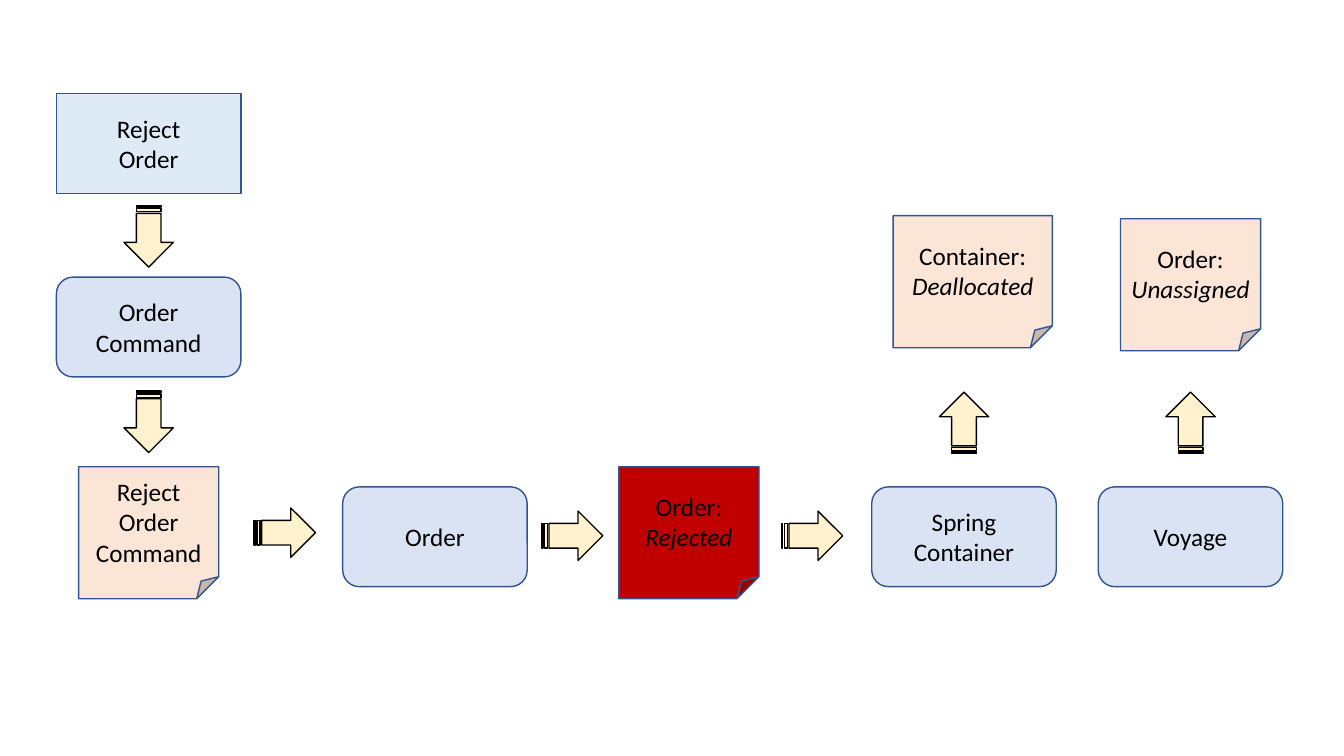
from pptx import Presentation
from pptx import util as u
from pptx.dml.color import RGBColor
from pptx.enum import shapes, text

COLORS = {"screen": "DEEBF7", "service": "DAE3F3", "event": "FBE5D6", "rejected": "C00000",
          "arrow": "FFF2CC", "edge": "325491", "ink": "000000"}
G = shapes.MSO_SHAPE
KINDS = {
    "screen": (G.RECTANGLE, 131.8, 71.3, "edge"),
    "service": (G.ROUNDED_RECTANGLE, 131.8, 71.3, "edge"),
    "event": (G.FOLDED_CORNER, 100.1, 94.3, "edge"),
    "rejected": (G.FOLDED_CORNER, 100.1, 94.3, "edge"),
    "arrow": (G.STRIPED_RIGHT_ARROW, 43.9, 35.3, "ink"),
}
COMMAND, ORDER, REJECTED, CONTAINER, VOYAGE = 106.2, 310.7, 492.1, 688.6, 850.4
SERVICE_ROW, EVENT_ROW = 383.4, 380.5
WIDE_EVENT = 113.8
RIGHT, DOWN, UP = 0, 90, 270

BOXES = [
    ("screen", COMMAND, 102.6, ["Reject\vOrder"]),
    ("service", COMMAND, 233.6, ["Order Command"]),
    ("event", COMMAND, EVENT_ROW, ["Reject Order Command"]),
    ("service", ORDER, SERVICE_ROW, ["Order"]),
    ("rejected", REJECTED, EVENT_ROW, ["Order:", "Rejected"]),
    ("service", CONTAINER, SERVICE_ROW, ["Spring Container"]),
    ("service", VOYAGE, SERVICE_ROW, ["Voyage"]),
    ("event", 694.8, 201.2, ["Container:", "Deallocated"], WIDE_EVENT),
    ("event", VOYAGE, 203.4, ["Order:", "Unassigned"]),
]
ARROWS = [
    (COMMAND, 168.8, DOWN), (COMMAND, 301.3, DOWN),
    (203.4, 380.5, RIGHT), (408.6, 382.7, RIGHT), (580, 382.7, RIGHT),
    (CONTAINER, 302, UP), (VOYAGE, 302, UP),
]

prs = Presentation()
prs.slide_width, prs.slide_height = u.Pt(960), u.Pt(540)
slide = prs.slides.add_slide(prs.slide_layouts[6])


def color(name):
    return RGBColor.from_string(COLORS[name])


def add_node(kind, cx, cy, width=None):
    preset, w, h, edge = KINDS[kind]
    w = width or w
    sp = slide.shapes.add_shape(preset, u.Pt(cx - w / 2), u.Pt(cy - h / 2), u.Pt(w), u.Pt(h))
    sp.shadow.inherit = False
    sp.fill.solid()
    sp.fill.fore_color.rgb = color(kind)
    sp.line.color.rgb = color(edge)
    sp.line.width = u.Pt(1)
    return sp


def add_text(sp, lines):
    tf = sp.text_frame
    for key, value in {"word_wrap": True, "vertical_anchor": text.MSO_ANCHOR.MIDDLE}.items():
        setattr(tf, key, value)
    for i, line in enumerate(lines):
        p = tf.add_paragraph() if i else tf.paragraphs[0]
        p.text = line
        p.alignment = text.PP_ALIGN.CENTER
        for r in p.runs:
            for key, value in {"name": "Calibri", "size": u.Pt(18), "italic": i > 0}.items():
                setattr(r.font, key, value)
            r.font.color.rgb = color("ink")


for kind, cx, cy, lines, *width in BOXES:
    add_text(add_node(kind, cx, cy, *width), lines)

for cx, cy, turn in ARROWS:
    add_node("arrow", cx, cy).rotation = turn

prs.save("out.pptx")
